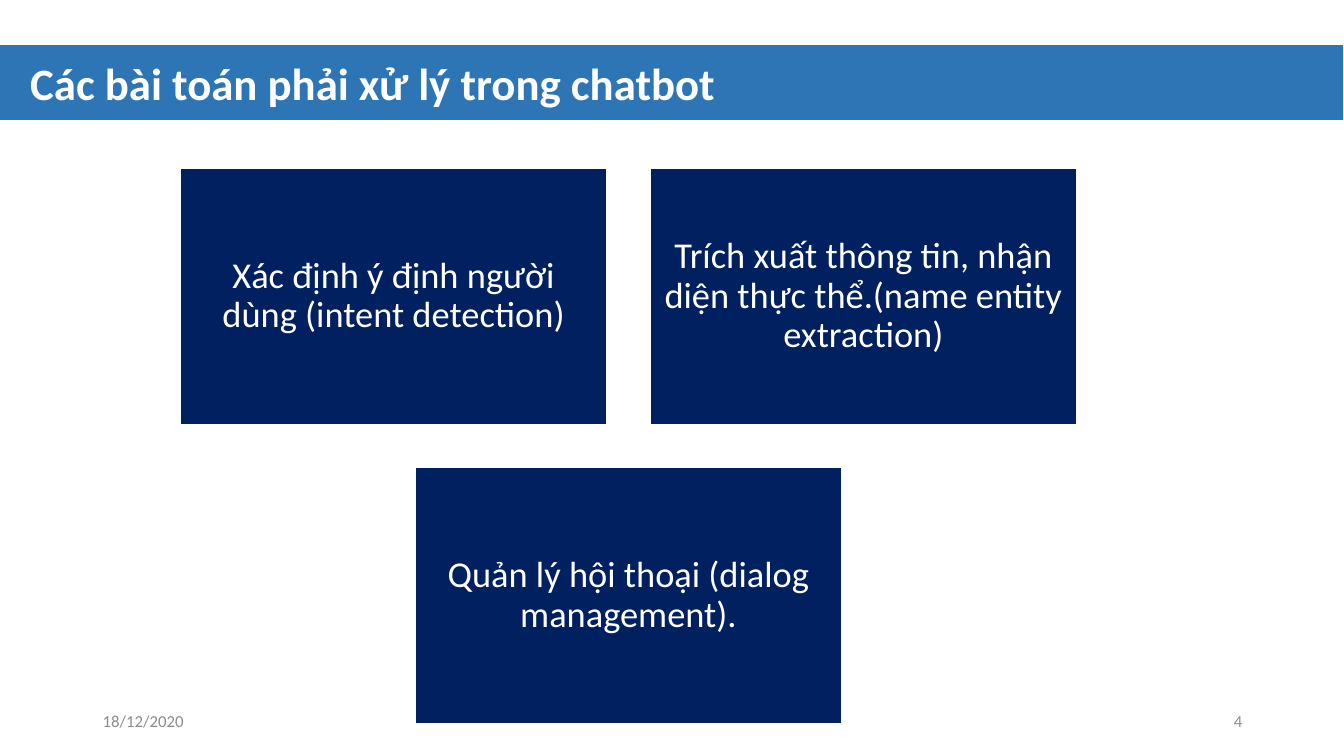
from pptx import Presentation
from pptx.dml.color import RGBColor
from pptx.enum.shapes import MSO_SHAPE as Shape
from pptx.enum.text import MSO_ANCHOR as Anchor, PP_ALIGN as Align
from pptx.util import Inches, Pt

WHITE = RGBColor(0xFF, 0xFF, 0xFF)
BLUE = RGBColor(0x2E, 0x75, 0xB6)
NAVY = RGBColor(0x00, 0x20, 0x60)
GRAY = RGBColor(0x8C, 0x8C, 0x8C)

TITLE = {"size": Pt(32), "bold": True}
BODY = {"size": Pt(26)}
SMALL = {"size": Pt(12)}

WIDE, HIGH, GAP = 4.23, 2.54, 0.43
LEFT, TOP = 1.79, 1.67
STEP = WIDE + GAP
CARDS = [
    (0, 0, "Xác định ý định người dùng (intent detection)"),
    (1, 0, "Trích xuất thông tin, nhận diện thực thể.(name entity extraction)"),
    (0.5, 1, "Quản lý hội thoại (dialog management)."),
]


def write(frame, text, form, color, align):
    """Put one formatted paragraph in a text frame."""
    para = frame.paragraphs[0]
    para.alignment = align
    run = para.add_run()
    run.text = text
    for key, val in {"name": "Calibri", **form}.items():
        setattr(run.font, key, val)
    run.font.color.rgb = color
    return para


def add_box(slide, area, fill):
    """Draw a filled rectangle with a thin white edge."""
    box = slide.shapes.add_shape(Shape.RECTANGLE, *map(Inches, area))
    box.shadow.inherit = False
    box.fill.solid()
    box.fill.fore_color.rgb = fill
    box.line.color.rgb = WHITE
    box.line.width = Pt(1)
    return box


def add_card(slide, col, row, text):
    """Draw one task card at its grid place."""
    area = (LEFT + col * STEP, TOP + row * (HIGH + GAP), WIDE, HIGH)
    frame = add_box(slide, area, NAVY).text_frame
    frame.word_wrap = True
    frame.vertical_anchor = Anchor.MIDDLE
    for side in ("left", "top", "right", "bottom"):
        setattr(frame, f"margin_{side}", Inches(0.11))
    write(frame, text, BODY, WHITE, Align.CENTER).line_spacing = 0.9


def add_text(slide, area, text, form, color, align, wrap=True):
    """Add a text box holding one line."""
    frame = slide.shapes.add_textbox(*map(Inches, area)).text_frame
    frame.word_wrap = wrap
    frame.vertical_anchor = Anchor.MIDDLE
    write(frame, text, form, color, align)


def main():
    """Build the slide and save it."""
    deck = Presentation()
    deck.slide_width, deck.slide_height = Inches(13.33), Inches(7.5)
    slide = deck.slides.add_slide(deck.slide_layouts[6])
    add_box(slide, (-0.13, 0.44, 13.46, 0.76), BLUE)
    add_text(slide, (0.17, 0.5, 7.06, 0.64),
             "Các bài toán phải xử lý trong chatbot",
             TITLE, WHITE, Align.CENTER, False)
    for card in CARDS:
        add_card(slide, *card)
    add_text(slide, (0.92, 6.95, 3, 0.4), "18/12/2020",
             SMALL, GRAY, Align.LEFT)
    add_text(slide, (9.42, 6.95, 3, 0.4), "4", SMALL, GRAY, Align.RIGHT)
    deck.save("out.pptx")


if __name__ == "__main__":
    main()
